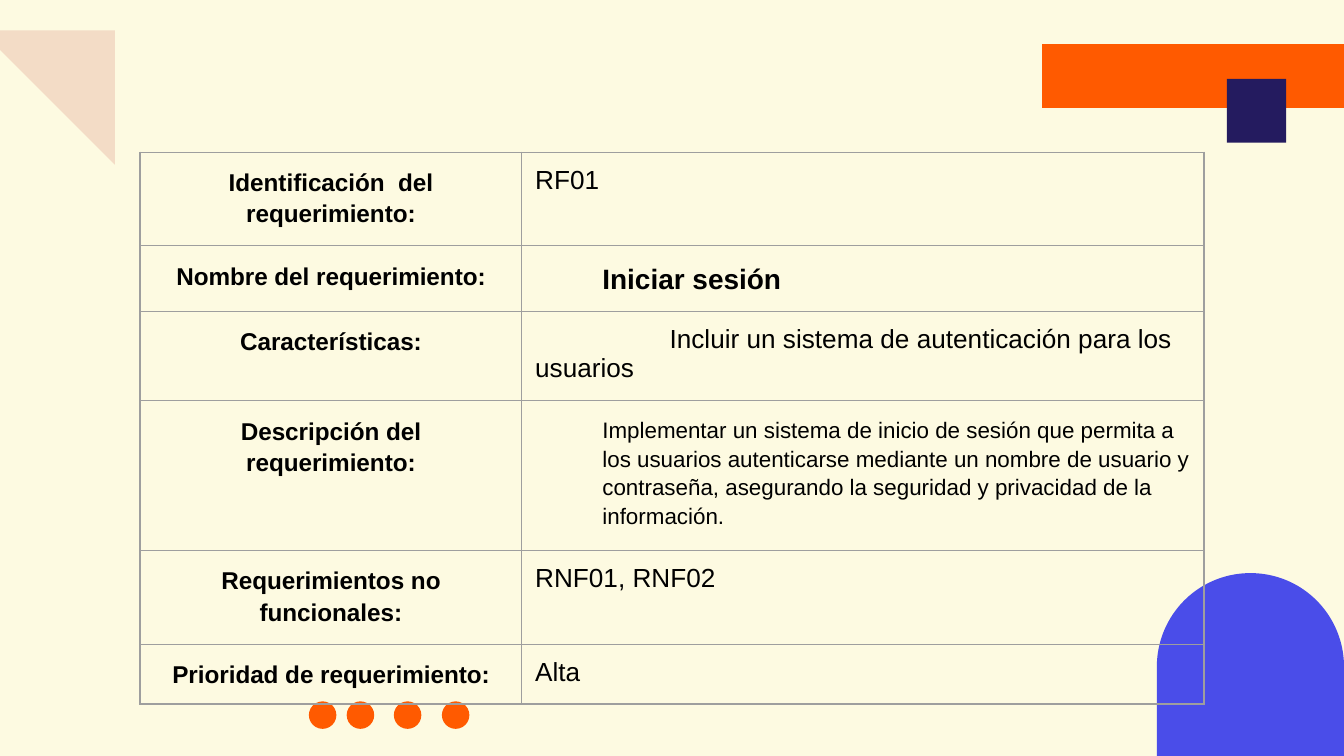
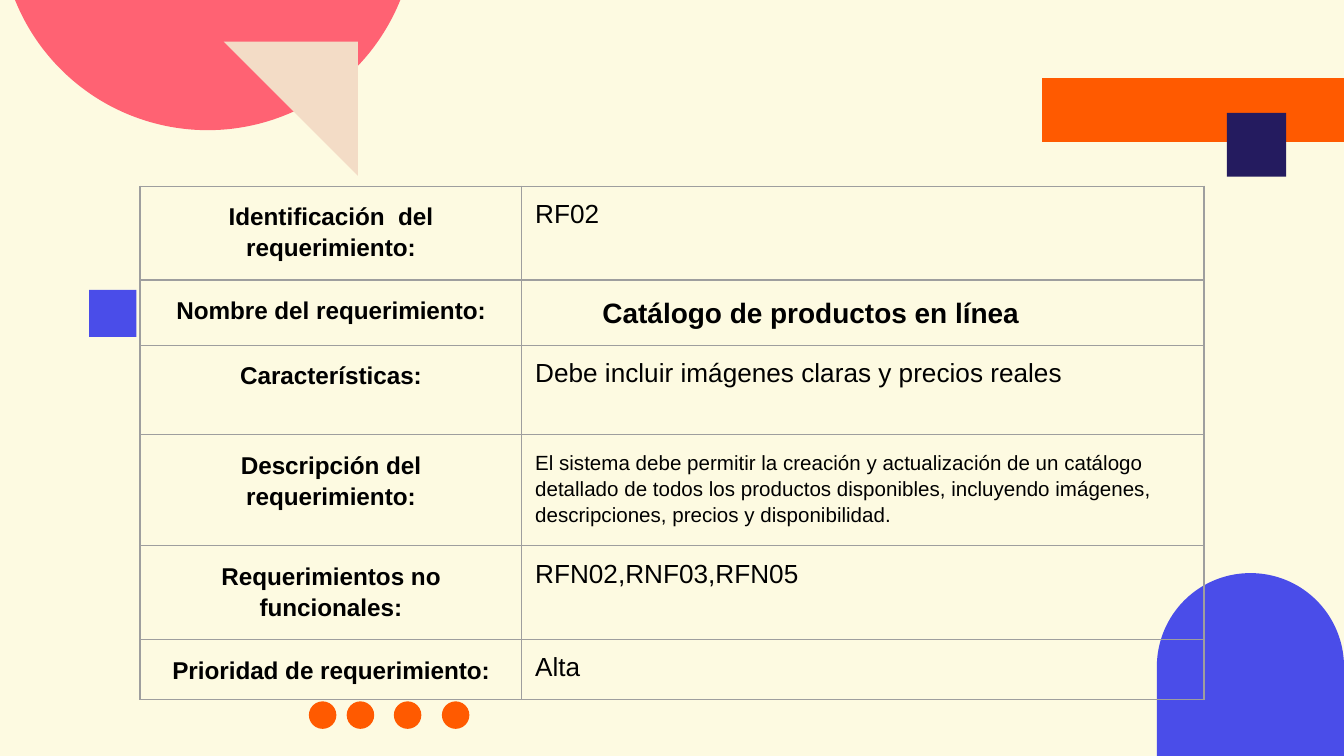
"""Build two requirement sheets: a bordered table over geometric decorations."""
from lxml import etree
from pptx import Presentation, util as u
from pptx.dml import color
from pptx.enum import shapes, text
from pptx.oxml import ns

CREAM, SAND, ORANGE, NAVY = "FDFAE1", "F3DCC6", "FF5A00", "241B5F"
BLUE, CORAL, GREY, BLACK = "4A4DE9", "FF6273", "9E9E9E", "000000"
FORM = shapes.MSO_SHAPE


def paint(target, hex_code):
    """Give a fill or a font a solid colour."""
    if hasattr(target, "solid"):
        target.solid()
        target.fore_color.rgb = color.RGBColor.from_string(hex_code)
    else:
        target.color.rgb = color.RGBColor.from_string(hex_code)


def decorate(slide, form, hex_code, left, top, width, height, rotation=0):
    """Place one flat decoration, measured in points."""
    decoration = slide.shapes.add_shape(form, u.Pt(left), u.Pt(top), u.Pt(width), u.Pt(height))
    decoration.rotation = rotation
    decoration.shadow.inherit = False
    decoration.line.fill.background()
    paint(decoration.fill, hex_code)
    return decoration


LABELS = [
    "Identificación  del requerimiento:",
    "Nombre del requerimiento:",
    "Características:",
    "Descripción del requerimiento:",
    "Requerimientos no funcionales:",
    "Prioridad de requerimiento:",
]
LABEL = {"size": 13, "bold": True, "spacing": 1.15, "align": text.PP_ALIGN.CENTER}
PLAIN = {"size": 14, "bold": False, "spacing": 1.0, "align": text.PP_ALIGN.LEFT}
NAME = PLAIN | {"size": 15, "bold": True, "spacing": 1.15, "margin": 36}
ROW_HEIGHTS = [50.25, 35, 48, 80.25, 50.25, 32]
COLUMN_WIDTHS = [204.5, 365.5]
DOT_LEFTS = [165.5, 185.75, 211, 236.75]

requirements = [
    {
        "bar_top": 23.5,
        "triangle": (-10.5, 16.25),
        "description_height": 80.25,
        "answers": [
            ("RF01", PLAIN),
            ("Iniciar sesión", NAME),
            ("Incluir un sistema de autenticación para los usuarios", PLAIN | {"first_line": 72}),
            ("Implementar un sistema de inicio de sesión que permita a los usuarios "
             "autenticarse mediante un nombre de usuario y contraseña, asegurando la "
             "seguridad y privacidad de la información.",
             PLAIN | {"size": 12, "spacing": 1.15, "margin": 36}),
            ("RNF01, RNF02", PLAIN),
            ("Alta", PLAIN),
        ],
    },
    {
        "bar_top": 41.75,
        "triangle": (119.75, 22.25),
        "description_height": 59.5,
        "answers": [
            ("RF02", PLAIN),
            ("Catálogo de productos en línea", NAME),
            ("Debe incluir imágenes claras y precios reales", PLAIN),
            ("El sistema debe permitir la creación y actualización de un catálogo "
             "detallado de todos los productos disponibles, incluyendo imágenes, "
             "descripciones, precios y disponibilidad.",
             PLAIN | {"size": 11, "spacing": 1.15}),
            ("RFN02,RNF03,RFN05", PLAIN),
            ("Alta", PLAIN),
        ],
    },
]

deck = Presentation()
deck.slide_width, deck.slide_height = u.Pt(720), u.Pt(405)

for number, requirement in enumerate(requirements, start=1):
    slide = deck.slides.add_slide(deck.slide_layouts[6])
    paint(slide.background.fill, CREAM)
    bar_top = requirement["bar_top"]

    if number == 2:
        half_disc = decorate(slide, FORM.PIE, CORAL, 0, -152.75, 222.5, 222.5)
        half_disc.adjustments[0] = 0
        half_disc.adjustments[1] = 107.72
    decorate(slide, FORM.RIGHT_TRIANGLE, SAND, *requirement["triangle"], 72, 72, rotation=180)
    decorate(slide, FORM.FLOWCHART_DELAY, BLUE, 619.75, 307, 100.25, 100.25, rotation=270)
    for dot_left in DOT_LEFTS:
        decorate(slide, FORM.OVAL, ORANGE, dot_left, 375.75, 14.75, 14.75)
    decorate(slide, FORM.FLOWCHART_PROCESS, ORANGE, 558.25, bar_top, 161.75, 34.25)
    decorate(slide, FORM.RECTANGLE, NAVY, 657.25, bar_top + 18.75, 31.75, 34.25)
    if number == 2:
        decorate(slide, FORM.RECTANGLE, BLUE, 47.75, 155.25, 25.25, 25.25)

    heights = ROW_HEIGHTS.copy()
    heights[3] = requirement["description_height"]
    sheet = slide.shapes.add_table(
        len(LABELS), 2, u.Pt(75), u.Pt(bar_top + 58),
        u.Pt(sum(COLUMN_WIDTHS)), u.Pt(sum(heights))).table
    sheet.first_row = sheet.horz_banding = False
    for column, width in zip(sheet.columns, COLUMN_WIDTHS):
        column.width = u.Pt(width)

    for row, (label, answer) in enumerate(zip(LABELS, requirement["answers"])):
        sheet.rows[row].height = u.Pt(heights[row])
        for column, (wording, style) in enumerate([(label, LABEL), answer]):
            cell = sheet.cell(row, column)
            for side in ("left", "right", "top", "bottom"):
                setattr(cell, f"margin_{side}", u.Pt(7.2))
            cell_format = cell._tc.get_or_add_tcPr()
            for edge in ("a:lnL", "a:lnR", "a:lnT", "a:lnB"):
                border = etree.SubElement(cell_format, ns.qn(edge), w=str(u.Pt(0.75)))
                stroke = etree.SubElement(border, ns.qn("a:solidFill"))
                etree.SubElement(stroke, ns.qn("a:srgbClr"), val=GREY)
            cell.fill.background()

            paragraph = cell.text_frame.paragraphs[0]
            paragraph.alignment = style["align"]
            paragraph.line_spacing = style["spacing"]
            indents = paragraph._p.get_or_add_pPr()
            indents.set("marL", str(u.Pt(style.get("margin", 0))))
            indents.set("indent", str(u.Pt(style.get("first_line", 0))))
            run = paragraph.add_run()
            run.text = wording
            font_format = {"name": "Arial", "size": u.Pt(style["size"]), "bold": style["bold"]}
            for attribute, value in font_format.items():
                setattr(run.font, attribute, value)
            paint(run.font, BLACK)

deck.save("out.pptx")
